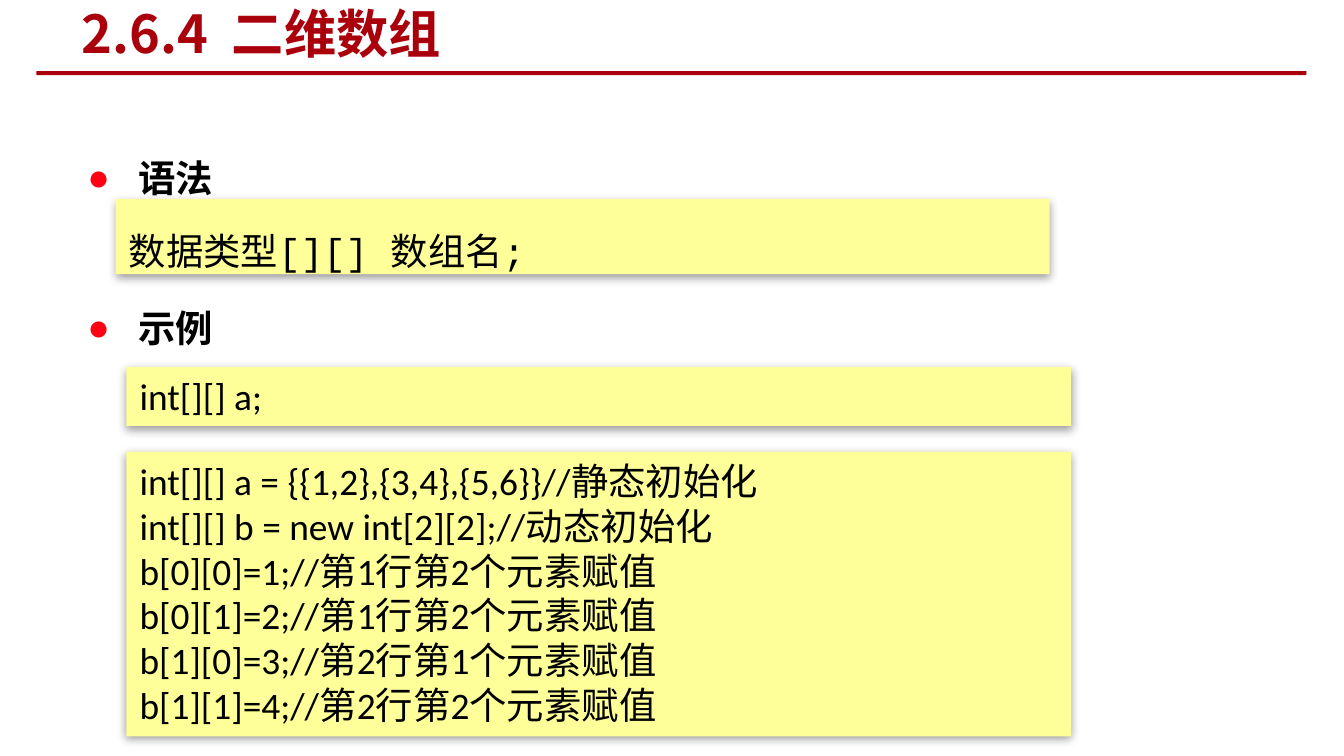
from pptx import Presentation
from pptx.dml.color import RGBColor
from pptx.enum.shapes import MSO_SHAPE
from pptx.enum.text import MSO_ANCHOR, MSO_AUTO_SIZE, PP_ALIGN
from pptx.oxml import parse_xml
from pptx.oxml.ns import nsdecls
from pptx.util import Inches, Pt

RECT = MSO_SHAPE.RECTANGLE
MIDDLE, TOP = MSO_ANCHOR.MIDDLE, MSO_ANCHOR.TOP
LEFT = PP_ALIGN.LEFT
FIXED = MSO_AUTO_SIZE.NONE

RED, DOT, YELLOW, BLACK = "AA000B", "FF0014", "FFFF99", "000000"
SANS = "Noto Sans CJK SC"

TITLE = "2.6.4  二维数组"
HEADS = ["语法", "示例"]
# place, font, line spacing, lines
CODES = [
    ((0.86, 1.48, 6.95, 0.56), "Courier New", 1.5, ["数据类型[][] 数组名;"]),
    ((0.94, 2.73, 7.03, 0.44), "Calibri", 1.0, ["int[][] a;"]),
    ((0.94, 3.36, 7.03, 2.12), "Calibri", 1.0, [
        "int[][] a = {{1,2},{3,4},{5,6}}//静态初始化",
        "int[][] b = new int[2][2];//动态初始化",
        "b[0][0]=1;//第1行第2个元素赋值",
        "b[0][1]=2;//第1行第2个元素赋值",
        "b[1][0]=3;//第2行第1个元素赋值",
        "b[1][1]=4;//第2行第2个元素赋值",
    ]),
]


def color(code):
    return RGBColor.from_string(code)


def place(shape, box):
    shape.left, shape.top, shape.width, shape.height = map(Inches, box)


def write(shape, lines, anchor, tint, para, font):
    frame = shape.text_frame
    frame.word_wrap = True
    frame.auto_size = FIXED
    frame.vertical_anchor = anchor
    frame.text = "\n".join(lines)
    for p in frame.paragraphs:
        for key, value in para.items():
            setattr(p, key, value)
        for run in p.runs:
            for key, value in font.items():
                setattr(run.font, key, value)
            run.font.color.rgb = color(tint)
    return frame.paragraphs


def bullet(p):
    props = p._p.get_or_add_pPr()
    props.set("marL", str(Inches(0.38)))
    props.set("indent", str(-Inches(0.38)))
    props.append(parse_xml(
        f'<a:buClr {nsdecls("a")}><a:srgbClr val="{DOT}"/></a:buClr>'))
    props.append(parse_xml(f'<a:buChar {nsdecls("a")} char="●"/>'))


def rect(box, fill):
    shape = slide.shapes.add_shape(RECT, *map(Inches, box))
    shape.shadow.inherit = False
    shape.fill.solid()
    shape.fill.fore_color.rgb = color(fill)
    shape.line.fill.background()
    return shape


def shade(shape):
    """Cast a soft shadow straight down."""
    effects = shape._element.spPr.find(
        "{http://schemas.openxmlformats.org/drawingml/2006/main}effectLst")
    effects.append(parse_xml(
        f'<a:outerShdw {nsdecls("a")} blurRad="{Pt(5)}" dist="{Pt(1.6)}" '
        f'dir="5400000" algn="t" rotWithShape="0"><a:srgbClr val="{BLACK}">'
        '<a:alpha val="38000"/></a:srgbClr></a:outerShdw>'))


prs = Presentation()
prs.slide_width, prs.slide_height = Inches(10), Inches(10 * 9 / 16)
slide = prs.slides.add_slide(prs.slide_layouts[1])

rect((0.27, 0.53, 9.45, 0.03), RED)

title = slide.shapes.title
place(title, (0.51, 0.02, 5.3, 0.45))
write(title, [TITLE], MIDDLE, RED, {"alignment": LEFT},
      {"name": SANS, "size": Pt(28), "bold": True})

body = slide.placeholders[1]
place(body, (0.55, 0.94, 9.14, 3.75))
heads = write(body, HEADS, TOP, BLACK,
              {"line_spacing": Pt(36), "space_before": Pt(0)},
              {"name": SANS, "size": Pt(20), "bold": True})
for p in heads:
    bullet(p)
heads[1].space_before = Pt(44)

for box, name, gap, lines in CODES:
    code = rect(box, YELLOW)
    shade(code)
    write(code, lines, TOP, BLACK, {"alignment": LEFT, "line_spacing": gap},
          {"name": name, "size": Pt(20)})

prs.save("out.pptx")
